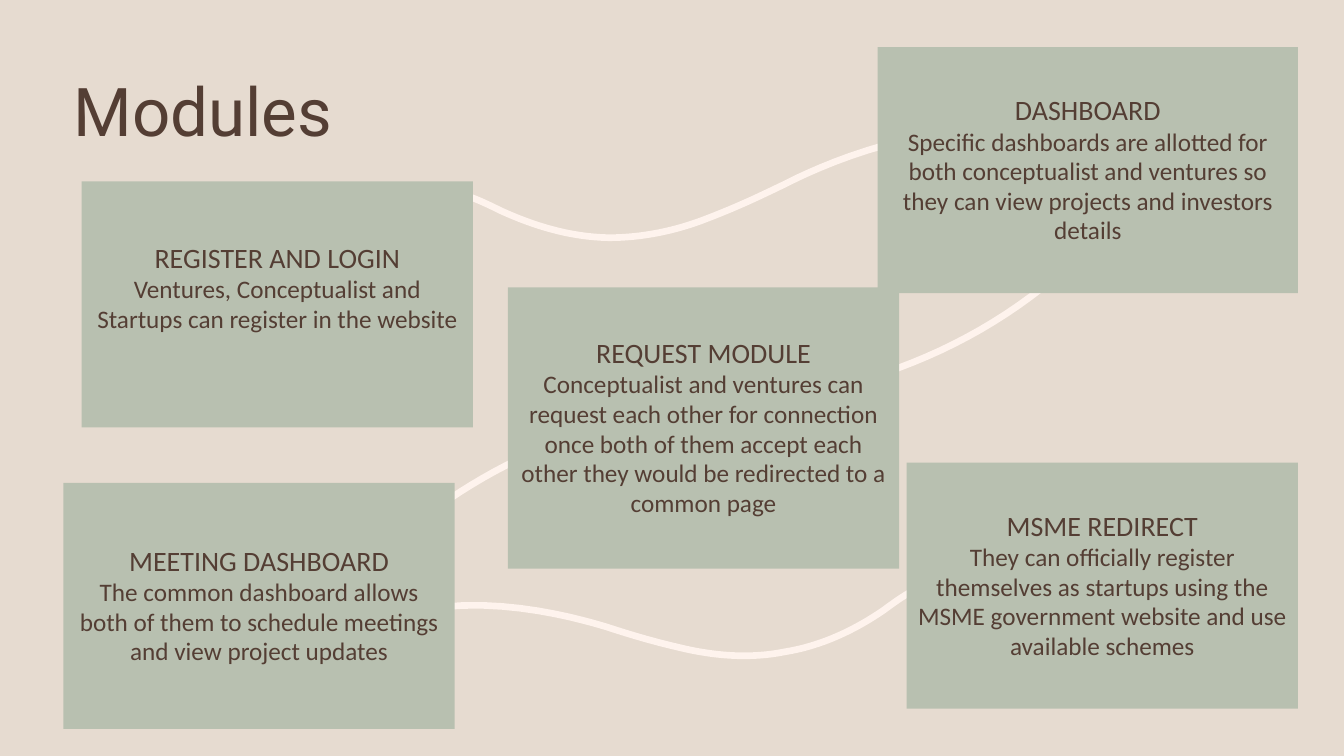
import dataclasses

import pptx
import pptx.dml.color
import pptx.enum.shapes
import pptx.enum.text
import pptx.util

Cm = pptx.util.Cm
Pt = pptx.util.Pt
RGB = pptx.dml.color.RGBColor.from_string
ALIGN = pptx.enum.text.PP_ALIGN


@dataclasses.dataclass(frozen=True)
class Theme:
    background: str = "E6DBD0"
    card: str = "B8C0B0"
    curve: str = "FEF3ED"
    ink: str = "543E34"
    title_font: str = "Roboto"
    body_font: str = "Calibri"
    title_size: int = 48
    heading_size: int = 20
    body_size: int = 18
    curve_width: float = 4.75


theme = Theme()


def write(para, text, *, size, font=theme.body_font, align=ALIGN.CENTER, spacing=0.98):
    para.alignment = align
    para.line_spacing = spacing
    span = para.add_run()
    span.text = text
    span.font.size = Pt(size)
    span.font.name = font
    span.font.color.rgb = RGB(theme.ink)


def bezier_points(start, first, second, end, steps=16):
    for step in range(1, steps + 1):
        t = step / steps
        weights = ((1 - t) ** 3, 3 * t * (1 - t) ** 2, 3 * t ** 2 * (1 - t), t ** 3)
        x, y = (
            sum(weight * value for weight, value in zip(weights, axis))
            for axis in zip(start, first, second, end)
        )
        yield Cm(x), Cm(y)


deck = pptx.Presentation()
deck.slide_width, deck.slide_height = Cm(33.87), Cm(19.05)
page = deck.slides.add_slide(deck.slide_layouts[6])
page.background.fill.solid()
page.background.fill.fore_color.rgb = RGB(theme.background)

curves = [
    [(21.16, 9.73), (23.19, 9.22), (25.02, 8.31), (26.59, 6.99)],
    [(14.83, 10.87), (12.93, 11.48), (11.3, 12.45), (9.88, 13.69)],
    [
        (7.8, 5.66),
        (8.89, 4.75), (10.11, 4.5), (11.4, 4.83),
        (11.84, 4.93), (12.22, 5.11), (12.62, 5.31),
        (13.46, 5.69), (14.35, 5.97), (15.34, 5.99),
        (16.18, 5.99), (17.02, 5.82), (17.81, 5.51),
        (18.72, 5.16), (19.23, 4.9), (19.76, 4.65),
        (20.35, 4.34), (23.88, 2.62), (26.09, 3.71),
    ],
    [
        (23.37, 14.71),
        (22.96, 14.88), (22.63, 15.11), (22.28, 15.37),
        (21.54, 15.88), (20.7, 16.28), (19.76, 16.43),
        (18.95, 16.59), (18.14, 16.54), (17.3, 16.36),
        (16.38, 16.15), (15.85, 15.98), (15.29, 15.8),
        (14.68, 15.62), (11.02, 14.48), (8.81, 16.15),
    ],
]
for knots in curves:
    start_x, start_y = knots[0]
    builder = page.shapes.build_freeform(Cm(start_x), Cm(start_y))
    for index in range(0, len(knots) - 1, 3):
        builder.add_line_segments(bezier_points(*knots[index:index + 4]), close=False)
    curve = builder.convert_to_shape()
    curve.shadow.inherit = False
    curve.fill.background()
    curve.line.color.rgb = RGB(theme.curve)
    curve.line.width = Pt(theme.curve_width)

title = page.shapes.add_textbox(Cm(1.6), Cm(1.96), Cm(25.4), Cm(1.88)).text_frame
title.word_wrap = True
title.vertical_anchor = pptx.enum.text.MSO_ANCHOR.MIDDLE
write(title.paragraphs[0], "Modules", size=theme.title_size,
      font=theme.title_font, align=ALIGN.LEFT, spacing=0.9)

CARD_WIDTH, CARD_HEIGHT, BOTTOM_INSET = 9.86, 6.2, 0.13
cards = [
    (2.06, 4.57, CARD_WIDTH, CARD_HEIGHT, 0.94, "REGISTER AND LOGIN",
     "Ventures, Conceptualist and Startups can register in the website"),
    (22.12, 1.19, 10.59, CARD_HEIGHT, BOTTOM_INSET, "DASHBOARD",
     "Specific dashboards are allotted for both conceptualist and ventures "
     "so they can view projects and investors details"),
    (12.8, 7.24, CARD_WIDTH, 7.09, BOTTOM_INSET, "REQUEST MODULE",
     "Conceptualist and ventures can request each other for connection once "
     "both of them accept each other they would be redirected to a common page"),
    (1.6, 12.17, CARD_WIDTH, CARD_HEIGHT, BOTTOM_INSET, "MEETING DASHBOARD",
     "The common dashboard allows both of them to schedule meetings "
     "and view project updates"),
    (22.85, 11.66, CARD_WIDTH, CARD_HEIGHT, BOTTOM_INSET, "MSME REDIRECT",
     "They can officially register themselves as startups using the MSME "
     "government website and use available schemes"),
]
for left, top, width, height, bottom_inset, heading, detail in cards:
    box = page.shapes.add_shape(
        pptx.enum.shapes.MSO_SHAPE.RECTANGLE, Cm(left), Cm(top), Cm(width), Cm(height))
    box.shadow.inherit = False
    box.fill.solid()
    box.fill.fore_color.rgb = RGB(theme.card)
    box.line.fill.background()
    frame = box.text_frame
    frame.word_wrap = True
    frame.vertical_anchor = pptx.enum.text.MSO_ANCHOR.MIDDLE
    frame.margin_bottom = Cm(bottom_inset)
    write(frame.paragraphs[0], heading, size=theme.heading_size)
    write(frame.add_paragraph(), detail, size=theme.body_size)

deck.save("out.pptx")
